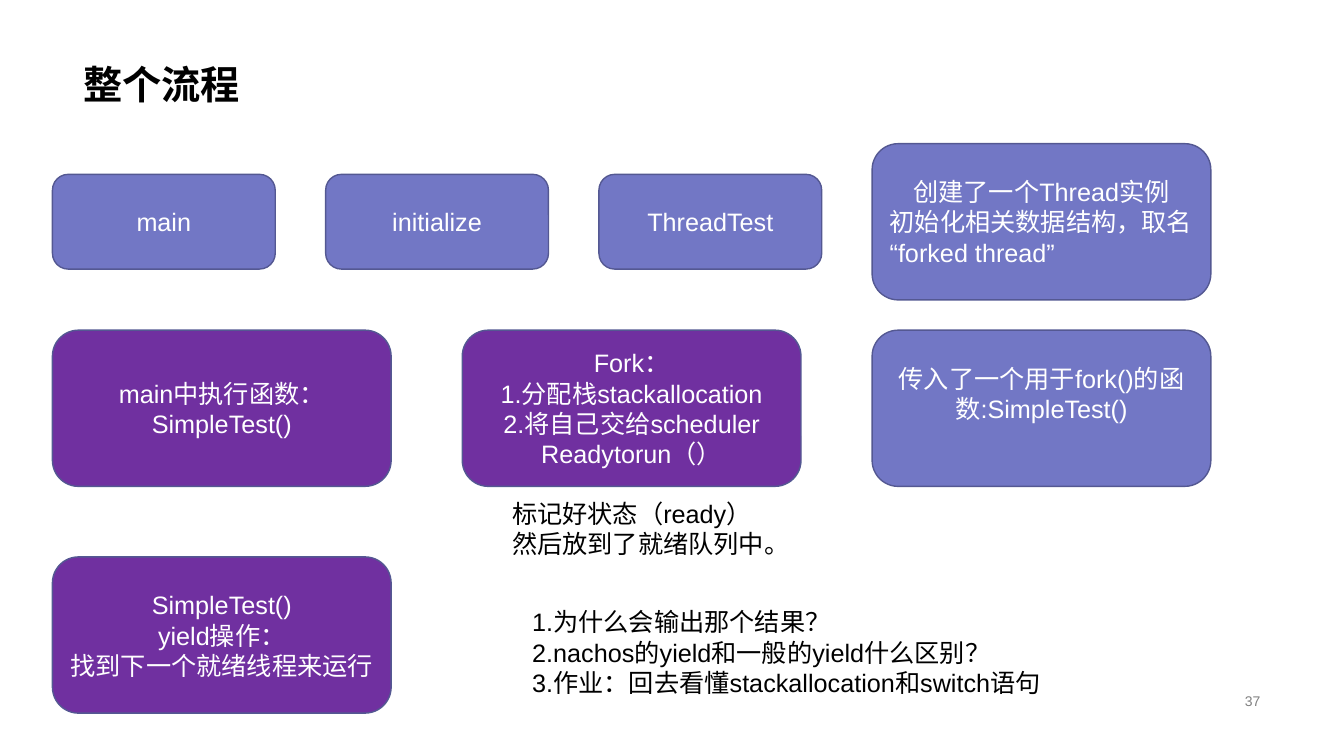
from dataclasses import dataclass

from pptx import Presentation
from pptx.dml.color import RGBColor
from pptx.enum.shapes import MSO_SHAPE
from pptx.enum.text import MSO_ANCHOR, PP_ALIGN
from pptx.util import Inches, Pt


@dataclass(frozen=True)
class Theme:
    """Colours, type sizes and grid measures of the slide."""
    font: str = "Arial"
    blue: RGBColor = RGBColor(0x72, 0x77, 0xC5)
    purple: RGBColor = RGBColor(0x70, 0x30, 0xA0)
    outline: RGBColor = RGBColor(0x54, 0x58, 0x92)
    black: RGBColor = RGBColor(0, 0, 0)
    white: RGBColor = RGBColor(255, 255, 255)
    grey: RGBColor = RGBColor(0x80, 0x80, 0x80)
    title_size: int = 28
    body_size: int = 18
    number_size: int = 10
    left: float = 0.52
    column: float = 2.71
    rows: tuple = (2.2, 4.05, 6.3)
    small: tuple = (2.21, 0.94)
    large: tuple = (3.36, 1.55)


THEME = Theme()


def write_lines(shape, lines, size, color, align=PP_ALIGN.LEFT, anchor=MSO_ANCHOR.TOP, bold=False):
    """Fill a shape with one paragraph per line and format its runs."""
    frame = shape.text_frame
    frame.text = "\n".join(lines)
    frame.word_wrap = True
    frame.vertical_anchor = anchor
    for paragraph in frame.paragraphs:
        paragraph.alignment = align
        for run in paragraph.runs:
            run.font.name = THEME.font
            run.font.size = Pt(size)
            run.font.bold = bold
            run.font.color.rgb = color
    return frame


def add_text(slide, box, lines, size=THEME.body_size, color=THEME.black, **style):
    """Place a plain text box."""
    shape = slide.shapes.add_textbox(*map(Inches, box))
    return write_lines(shape, lines, size, color, **style)


def add_step(slide, column, row, size, fill, lines):
    """Place a rounded step at a grid column, centred on a row."""
    width, height = size
    box = (THEME.left + column * THEME.column, THEME.rows[row] - height / 2, width, height)
    shape = slide.shapes.add_shape(MSO_SHAPE.ROUNDED_RECTANGLE, *map(Inches, box))
    shape.shadow.inherit = False
    shape.fill.solid()
    shape.fill.fore_color.rgb = fill
    shape.line.color.rgb = THEME.outline
    shape.line.width = Pt(1)
    return write_lines(shape, lines, THEME.body_size, THEME.white, PP_ALIGN.CENTER, MSO_ANCHOR.MIDDLE)


def add_start_row(slide):
    """Build the top row, from main to the creation of the thread."""
    for column, name in enumerate(("main", "initialize", "ThreadTest")):
        add_step(slide, column, 0, THEME.small, THEME.blue, [name])
    creation = add_step(slide, 3, 0, THEME.large, THEME.blue,
                        ["创建了一个Thread实例", "初始化相关数据结构，取名", "“forked thread”"])
    for paragraph in creation.paragraphs[1:]:
        paragraph.alignment = PP_ALIGN.LEFT


def add_fork_rows(slide):
    """Build the fork row and the yield step under it."""
    argument = add_step(slide, 3, 1, THEME.large, THEME.blue,
                        ["传入了一个用于fork()的函数:SimpleTest()"])
    argument.margin_bottom = Inches(0.35)
    steps = (
        (1.5, 1, ["Fork：", "1.分配栈stackallocation", "2.将自己交给scheduler", "Readytorun（）"]),
        (0, 1, ["main中执行函数：", "SimpleTest()"]),
        (0, 2, ["SimpleTest()", "yield操作：", "找到下一个就绪线程来运行"]),
    )
    for column, row, lines in steps:
        add_step(slide, column, row, THEME.large, THEME.purple, lines)


def add_notes_text(slide):
    """Place the queue remark and the closing questions."""
    add_text(slide, (4.98, 4.89, 2.98, 1.01), ["标记好状态（ready）", "然后放到了就绪队列中。"])
    add_text(slide, (5.18, 5.97, 5.32, 1.01),
             ["1.为什么会输出那个结果？", "2.nachos的yield和一般的yield什么区别？",
              "3.作业：回去看懂stackallocation和switch语句"])


def add_frame(slide):
    """Place the title and the page number."""
    title = add_text(slide, (0.73, 0, 11.87, 1.12), ["整个流程"], THEME.title_size,
                     anchor=MSO_ANCHOR.BOTTOM, bold=True)
    title.paragraphs[0].line_spacing = 0.9
    add_text(slide, (9.42, 6.84, 3.18, 0.23), ["37"], THEME.number_size, THEME.grey,
             align=PP_ALIGN.RIGHT, anchor=MSO_ANCHOR.MIDDLE)


def main():
    """Build and save the presentation."""
    presentation = Presentation()
    presentation.slide_width = Inches(13.33)
    presentation.slide_height = Inches(7.5)
    slide = presentation.slides.add_slide(presentation.slide_layouts[6])
    add_frame(slide)
    add_start_row(slide)
    add_fork_rows(slide)
    add_notes_text(slide)
    presentation.save("out.pptx")


if __name__ == "__main__":
    main()
